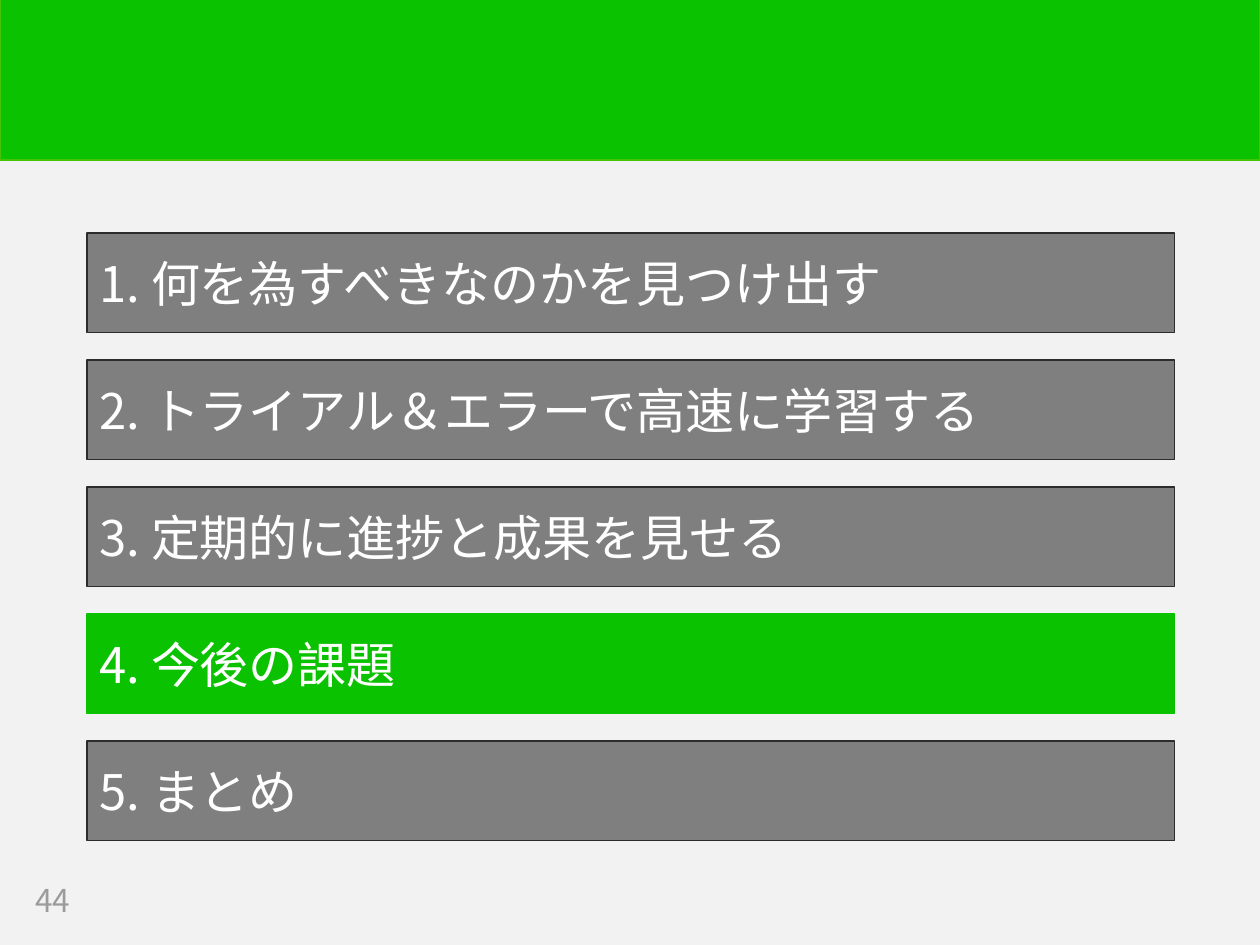
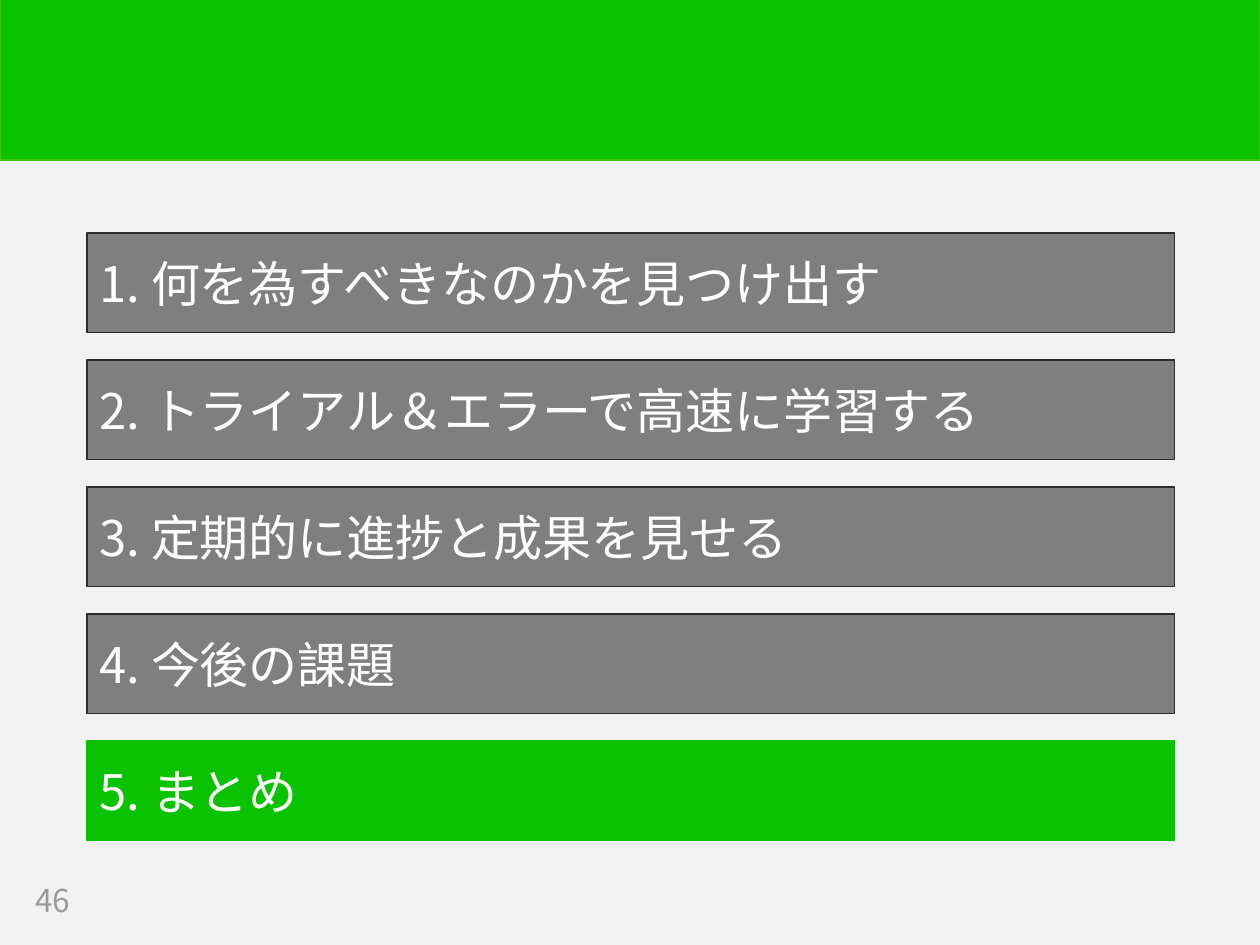
import pptx
import pptx.util
import pptx.dml.color
import pptx.enum.shapes
import pptx.enum.text
import pptx.oxml
import pptx.oxml.ns

# Content: agenda, then (page number, current topic) for each slide
TOPICS = [
    "何を為すべきなのかを見つけ出す",
    "トライアル＆エラーで高速に学習する",
    "定期的に進捗と成果を見せる",
    "今後の課題",
    "まとめ",
]
PAGES = [(44, 4), (46, 5)]

# Shared style
FONT = "Noto Sans CJK JP"
COLORS = {
    "back": "F2F2F2",
    "green": "0AC200",
    "edge": "44C404",
    "gray": "7F7F7F",
    "dark": "2C2C2C",
    "white": "FFFFFF",
    "page": "9B9B9B",
}
WIDE, HIGH = 10, 7.5
BAND = (0, -0.01, WIDE, 1.28)
PAGE = (0.18, 6.95, 0.79, 0.39)
LEFT, TOP, LONG, TALL = 0.69, 1.85, 8.63, 0.79
STEP = 1.0075  # from one agenda bar to the next


def color(name):
    return pptx.dml.color.RGBColor.from_string(COLORS[name])


def inches(box):
    return [pptx.util.Inches(n) for n in box]


def write(shape, text, size, ink):
    """Fill a shape with one left-aligned, vertically centred line."""
    frame = shape.text_frame
    frame.text = text
    frame.word_wrap = True
    frame.vertical_anchor = pptx.enum.text.MSO_ANCHOR.MIDDLE
    line = frame.paragraphs[0]
    line.alignment = pptx.enum.text.PP_ALIGN.LEFT
    font = line.runs[0].font
    font.name = FONT
    font.size = pptx.util.Pt(size)
    font.color.rgb = color(ink)
    # East Asian typeface
    props = line.runs[0]._r.get_or_add_rPr()
    east = pptx.oxml.parse_xml(
        f'<a:ea {pptx.oxml.ns.nsdecls("a")} typeface="{FONT}"/>')
    props.find(pptx.oxml.ns.qn("a:latin")).addnext(east)


def rect(slide, box, fill, edge, width):
    kind = pptx.enum.shapes.MSO_SHAPE.RECTANGLE
    shape = slide.shapes.add_shape(kind, *inches(box))
    shape.shadow.inherit = False
    shape.fill.solid()
    shape.fill.fore_color.rgb = color(fill)
    shape.line.color.rgb = color(edge)
    shape.line.width = pptx.util.Pt(width)
    return shape


def agenda(deck, page, current):
    slide = deck.slides.add_slide(deck.slide_layouts[6])
    # Band and page number
    rect(slide, BAND, "green", "edge", 1)
    write(slide.shapes.add_textbox(*inches(PAGE)), str(page), 18, "page")
    # Agenda bars, the current one in green
    for row, topic in enumerate(TOPICS):
        fill, edge = ("gray", "dark")
        if row + 1 == current:
            fill = edge = "green"
        box = (LEFT, TOP + row * STEP, LONG, TALL)
        bar = rect(slide, box, fill, edge, 0.75)
        write(bar, f"{row + 1}. {topic}", 28, "white")


def main():
    deck = pptx.Presentation()
    deck.slide_width, deck.slide_height = inches((WIDE, HIGH))
    back = deck.slide_master.background.fill
    back.solid()
    back.fore_color.rgb = color("back")
    for page, current in PAGES:
        agenda(deck, page, current)
    deck.save("out.pptx")


if __name__ == "__main__":
    main()
